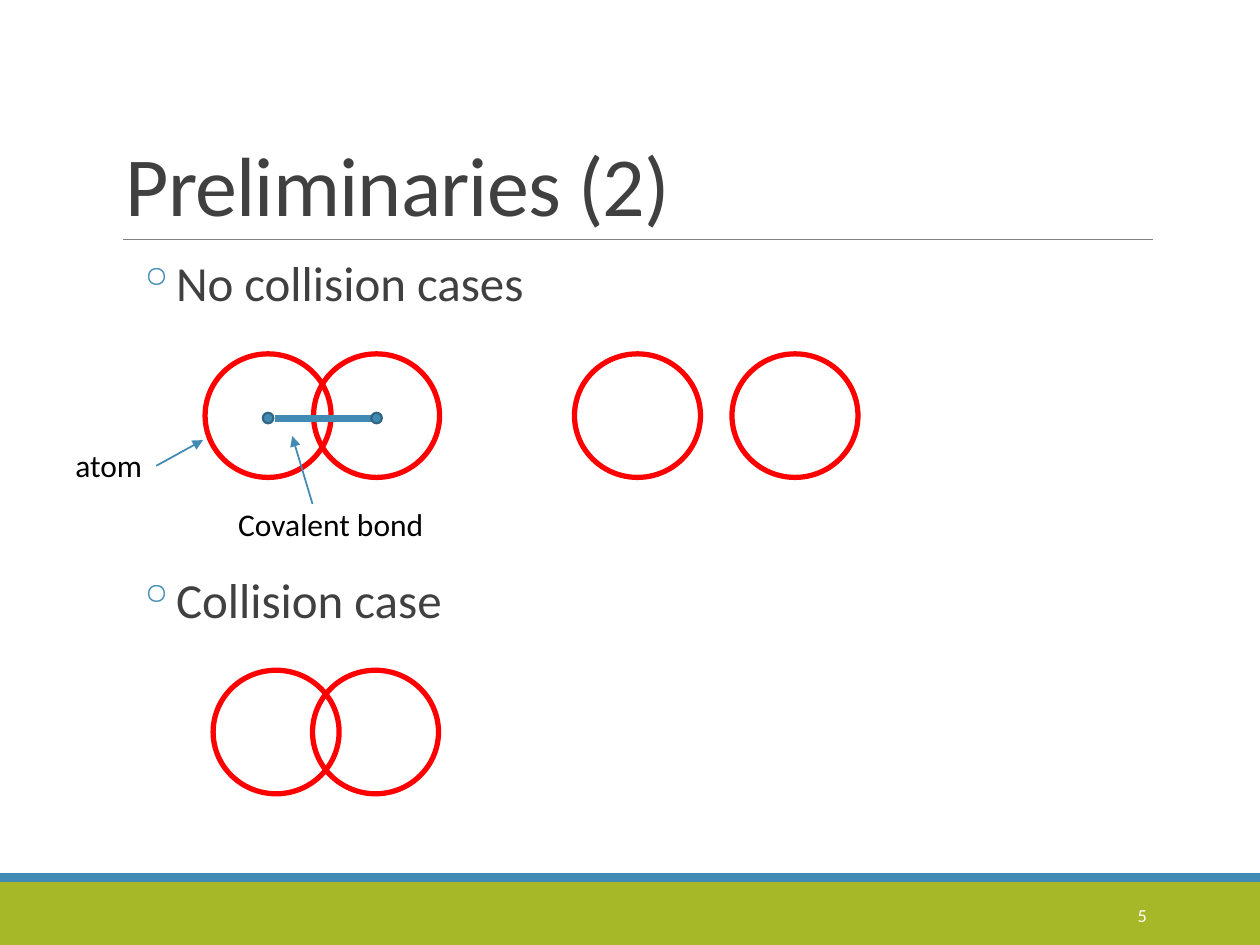
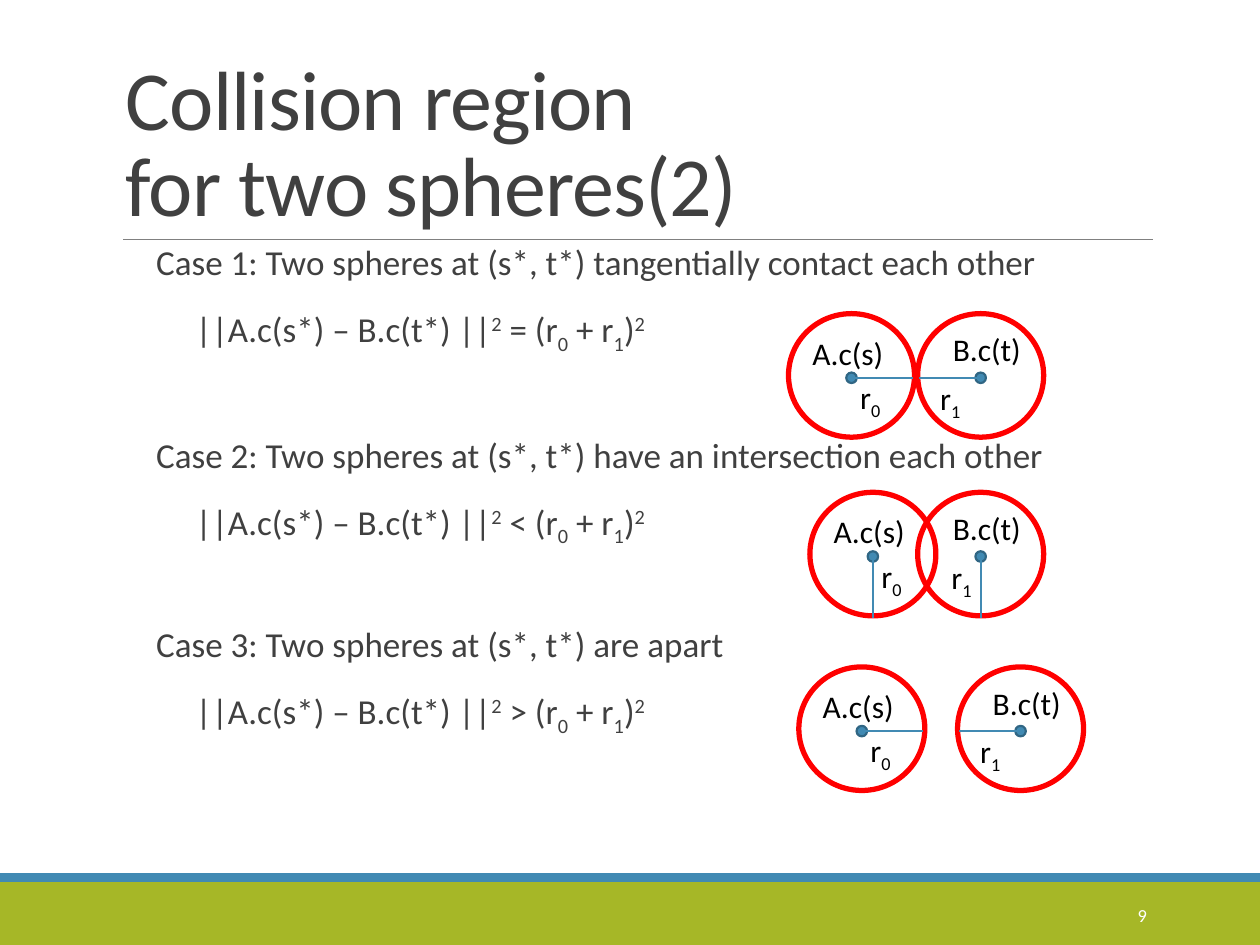
import pptx
import pptx.dml.color
import pptx.enum.shapes
import pptx.enum.text
import pptx.oxml
import pptx.oxml.ns
import pptx.util

Pt = pptx.util.Pt
SHAPES = pptx.enum.shapes.MSO_SHAPE
ANCHOR = pptx.enum.text.MSO_ANCHOR
ALIGN = pptx.enum.text.PP_ALIGN

FONT = "Calibri"
GREEN, BLUE, DARK_BLUE = "A6B727", "418AB3", "306684"
RED, GREY, TEXT, BLACK, WHITE = "FF0000", "808080", "404040", "000000", "FFFFFF"

ATOM_WIDTH, ATOM_HEIGHT = 72, 70.6
CENTER_X, CENTER_Y = 36, 36.7
DOT = 6
LABEL_HEIGHT = 29


def color(value):
    return pptx.dml.color.RGBColor.from_string(value)


def add_xml(parent, tag, **attributes):
    child = pptx.oxml.parse_xml(f"<a:{tag} {pptx.oxml.ns.nsdecls('a')}/>")
    for name, value in attributes.items():
        child.set(name, value)
    parent.append(child)
    return child


def add_shape(slide, kind, box, fill=None, outline=None, weight=1):
    shape = slide.shapes.add_shape(kind, *map(Pt, box))
    shape.shadow.inherit = False
    if fill:
        shape.fill.solid()
        shape.fill.fore_color.rgb = color(fill)
    else:
        shape.fill.background()
    if outline:
        shape.line.color.rgb = color(outline)
        shape.line.width = Pt(weight)
    else:
        shape.line.fill.background()


def add_line(slide, start, end, stroke=BLUE, weight=1, arrow=False):
    kind = pptx.enum.shapes.MSO_CONNECTOR.STRAIGHT
    connector = slide.shapes.add_connector(kind, *map(Pt, (*start, *end)))
    connector.line.color.rgb = color(stroke)
    connector.line.width = Pt(weight)
    properties = connector.element.spPr
    if arrow:
        add_xml(properties.find(pptx.oxml.ns.qn("a:ln")), "tailEnd", type="triangle")
    add_xml(properties, "effectLst")


def add_frame(slide, box, anchor=ANCHOR.TOP, wrap=True):
    frame = slide.shapes.add_textbox(*map(Pt, box)).text_frame
    frame.word_wrap = wrap
    frame.vertical_anchor = anchor
    return frame


def add_run(paragraph, text, size, fill, baseline=0):
    run = paragraph.add_run()
    run.text = text
    run.font.name = FONT
    run.font.size = Pt(size)
    run.font.color.rgb = color(fill)
    properties = run.font._element
    if baseline:
        properties.set("baseline", str(baseline * 1000))
    return properties


def add_runs(paragraph, runs, size, fill):
    for text, baseline in runs:
        add_run(paragraph, text, size, fill, baseline)


def add_label(slide, left, top, width, *runs):
    frame = add_frame(slide, (left, top, width, LABEL_HEIGHT), wrap=False)
    frame.auto_size = pptx.enum.text.MSO_AUTO_SIZE.SHAPE_TO_FIT_TEXT
    add_runs(frame.paragraphs[0], runs, 18, BLACK)


def add_title(slide, lines):
    frame = add_frame(slide, (64.8, 22.3, 594, 114.5), ANCHOR.BOTTOM)
    paragraph = frame.paragraphs[0]
    paragraph.line_spacing = 0.85
    for index, line in enumerate(lines):
        if index:
            paragraph.add_line_break()
        add_run(paragraph, line, 48, TEXT).set("spc", "-50")


def add_body(slide, left, top, paragraphs, size, after, bullet=None):
    frame = add_frame(slide, (left, top, 594, 316.8))
    frame.margin_left = frame.margin_right = 0
    for index, (before, margin, runs) in enumerate(paragraphs):
        paragraph = frame.add_paragraph() if index else frame.paragraphs[0]
        paragraph.line_spacing = 0.9
        paragraph.space_before = Pt(before)
        paragraph.space_after = Pt(after)
        properties = paragraph._p.get_or_add_pPr()
        properties.set("marL", str(Pt(margin)))
        if bullet:
            properties.set("indent", str(Pt(-14.4)))
            add_xml(add_xml(properties, "buClr"), "srgbClr", val=BLUE)
            add_xml(properties, "buChar", char=bullet)
        add_runs(paragraph, runs, size, TEXT)


def add_page(presentation, title, number):
    slide = presentation.slides.add_slide(presentation.slide_layouts[6])
    add_shape(slide, SHAPES.RECTANGLE, (0, 504, 720, 36), GREEN)
    add_shape(slide, SHAPES.RECTANGLE, (0, 499, 720, 5), BLUE)
    add_line(slide, (70.4, 136.8), (658.8, 136.8), GREY, 0.5)
    add_title(slide, title)
    frame = add_frame(slide, (584.6, 508.5, 77.8, 28.8), ANCHOR.MIDDLE)
    frame.paragraphs[0].alignment = ALIGN.RIGHT
    add_run(frame.paragraphs[0], number, 10.5, WHITE)
    return slide


def add_atom(slide, left, top):
    add_shape(slide, SHAPES.OVAL, (left, top, ATOM_WIDTH, ATOM_HEIGHT), None, RED, 3)


def add_center(slide, left, top):
    corner = (left + CENTER_X - DOT / 2, top + CENTER_Y - DOT / 2)
    add_shape(slide, SHAPES.OVAL, (*corner, DOT, DOT), BLUE, DARK_BLUE, 1.25)


def add_radius(slide, left, top, direction):
    x, y = left + CENTER_X, top + CENTER_Y
    across, down = direction
    add_line(slide, (x, y), (x + across * 35, y + down * 35))


def add_spheres(slide, top, left_a, left_b, direction_a, direction_b, shift_r1):
    for left in (left_a, left_b):
        add_atom(slide, left, top)
    for left in (left_a, left_b):
        add_center(slide, left, top)
    add_label(slide, left_a + 6.5, top + 8, 55.4, ("A.c(s)", 0))
    add_label(slide, left_b + 13, top + 6, 55.4, ("B.c(t)", 0))
    add_label(slide, left_a + 33.8, top + 33.3, 27.4, ("r", 0), ("0", -25))
    add_label(slide, left_b + shift_r1, top + 33.8, 27.4, ("r", 0), ("1", -25))
    add_radius(slide, left_a, top, direction_a)
    add_radius(slide, left_b, top, direction_b)


def distance_runs(relation):
    return [("||A.c(s*) – B.c(t*) ||", 0), ("2", 30), (f" {relation} (r", 0),
            ("0", -25), (" + r", 0), ("1", -25), (")", 0), ("2", 30)]


def build_preliminaries(presentation):
    slide = add_page(presentation, ["Preliminaries (2)"], "5")
    add_body(slide, 62.6, 144.7, [
        (2, 30.2, [("No collision cases", 0)]),
        (147, 30.2, [("Collision case", 0)]),
    ], 28, 4, "◦")
    top = 202.2
    bonded = (117.2, 179.2)
    for left in (*bonded, 328.3, 418.3):
        add_atom(slide, left, top)
    for left in (121.8, 178.6):
        add_atom(slide, left, 383)
    bond_y = top + CENTER_Y
    add_line(slide, (157, bond_y), (214, bond_y), weight=4)
    for left in bonded:
        add_center(slide, left, top)
    add_label(slide, 36, 251.5, 53.3, ("atom", 0))
    add_label(slide, 129, 285, 121.7, ("Covalent bond", 0))
    add_line(slide, (89.3, 266.2), (116, 251.5), arrow=True)
    add_line(slide, (178.6, 288), (167, 249.2), arrow=True)


def build_collision_region(presentation):
    slide = add_page(presentation, ["Collision region", "for two spheres(2)"], "9")
    cases = [
        (12, "Case 1: Two spheres at (s*, t*) tangentially contact each other", "="),
        (48, "Case 2: Two spheres at (s*, t*) have an intersection each other", "<"),
        (46, "Case 3: Two spheres at (s*, t*) are apart", ">"),
    ]
    paragraphs = []
    for before, heading, relation in cases:
        paragraphs.append((before, 7.2, [(heading, 0)]))
        paragraphs.append((12, 29.8, distance_runs(relation)))
    add_body(slide, 82, 136.8, paragraphs, 20, 2)

    right, left, down = (1, 0), (-1, 0), (0, 1)
    add_spheres(slide, 179.2, 450.6, 524.4, right, left, 5.8)
    add_spheres(slide, 281.3, 462.8, 524.4, down, down, 12.2)
    add_spheres(slide, 381.1, 456.5, 547.2, right, left, 5.8)


def main():
    presentation = pptx.Presentation()
    presentation.slide_width = Pt(720)
    presentation.slide_height = Pt(540)
    build_preliminaries(presentation)
    build_collision_region(presentation)
    presentation.save("out.pptx")


if __name__ == "__main__":
    main()
